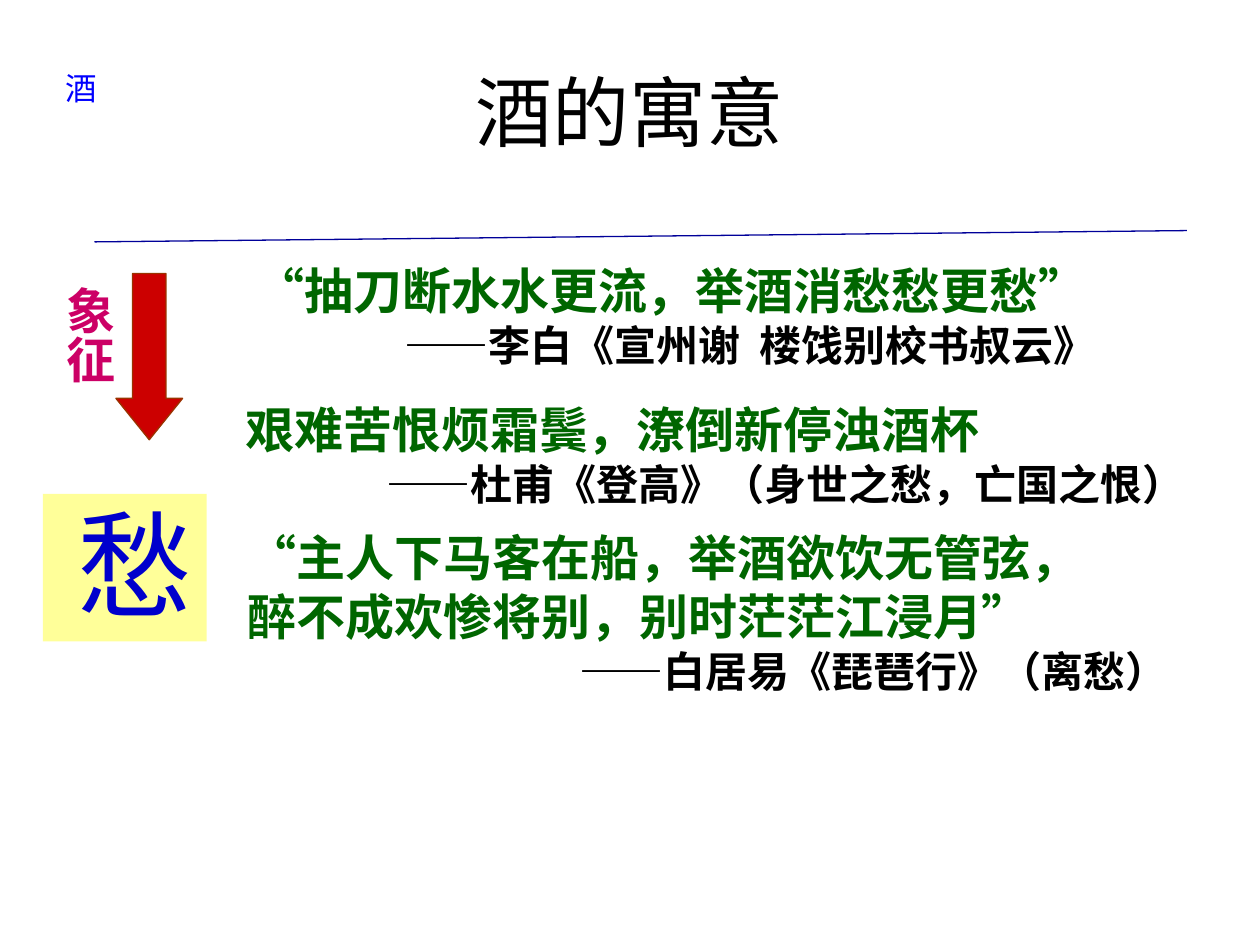
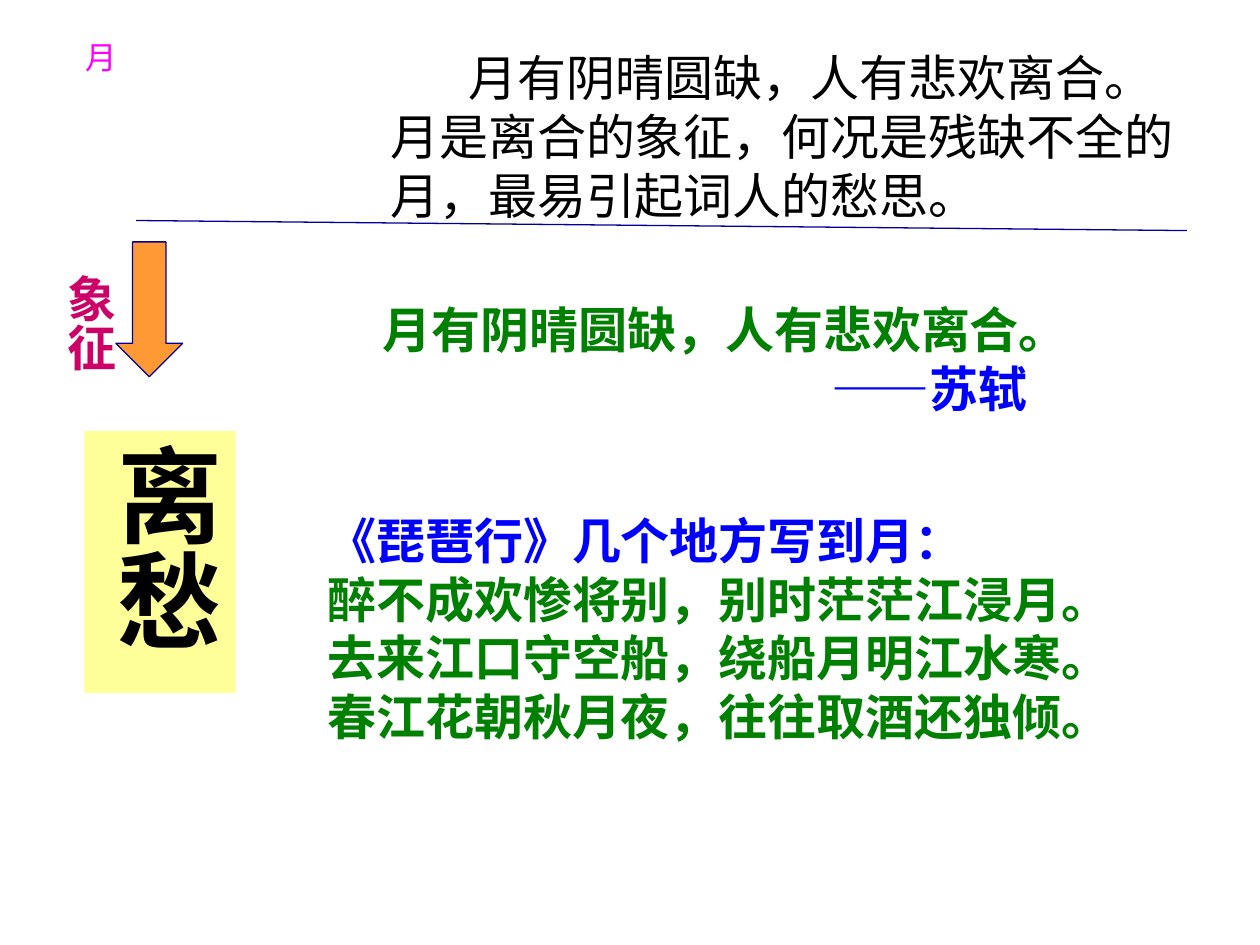
from lxml import etree
from pptx import Presentation
from pptx.dml.color import RGBColor
from pptx.enum.shapes import MSO_CONNECTOR as CONNECTOR, MSO_SHAPE as SHAPE
from pptx.enum.text import MSO_ANCHOR as ANCHOR, MSO_AUTO_SIZE as AUTO_SIZE, PP_ALIGN as ALIGN
from pptx.oxml.ns import qn
from pptx.util import Inches, Pt

SERIF, SANS, TITLE_FONT, CJK = "Times New Roman", "DejaVu Sans", "Montserrat", "Noto Sans CJK SC"
BLACK, NAVY, BLUE, PINK, PALE = "000000", "000099", "0000FF", "CC0066", "FFFF99"
DARK_GREEN, GREEN = "006600", "008000"

# Passages are (place, font, lines); a line is (text, size, colour, bold, left indent, first-line indent).
SLIDES = [
    dict(
        topic=("酒", (0.42, 0.5, 1.37, 1.46), BLUE, "CC99FF"),
        title="酒的寓意",
        rule=(0.75, 1.92, 9.42, 1.83),
        arrow=((0.92, 2.17, 0.53, 1.32), 0.62, "CC0000", "993300"),
        symbol_label=(0.33, 2.17, 0.66, 1.5),
        meaning=("愁", (0.34, 3.92, 1.3, 1.17), 66, "0000CC", False),
        passages=[
            ((1.93, 2.02, 8.07, 0.97), SERIF, [
                ("“抽刀断水水更流，举酒消愁愁更愁”", 28, DARK_GREEN, True, 0, 0),
                ("——李白《宣州谢  楼饯别校书叔云》", 24, BLACK, True, 1.18, 0)]),
            ((1.85, 3.12, 8.92, 0.97), SANS, [
                ("艰难苦恨烦霜鬓，潦倒新停浊酒杯", 28, DARK_GREEN, True, 0, 0),
                ("——杜甫《登高》（身世之愁，亡国之恨）", 24, BLACK, True, 1.12, 0)]),
            ((1.87, 4.14, 8.63, 1.84), SERIF, [
                ("“主人下马客在船，举酒欲饮无管弦，", 28, DARK_GREEN, True, 0, 0),
                ("醉不成欢惨将别，别时茫茫江浸月”", 28, DARK_GREEN, True, 0, 0),
                ("——白居易《琵琶行》（离愁）", 24, BLACK, True, 2.63, 0)]),
        ],
    ),
    dict(
        topic=("月", (0.58, 0.25, 1.33, 1.5), "FF00FF", BLACK),
        title=None,
        rule=(1.08, 1.75, 9.42, 1.83),
        arrow=((0.92, 1.92, 0.53, 1.07), 0.5, "FF9933", NAVY),
        symbol_label=(0.34, 2.08, 0.66, 1.17),
        meaning=("离愁", (0.67, 3.42, 1.2, 2.08), 60, BLACK, True),
        passages=[
            ((3, 0.33, 6.5, 1.5), SERIF, [
                ("月有阴晴圆缺，人有悲欢离合。月是离合的象征，何况是残缺不全的月，最易引起词人的愁思。",
                 28, BLACK, False, 0, 0.62)]),
            ((2.94, 2.33, 5.8, 1.5), SERIF, [
                ("月有阴晴圆缺，人有悲欢离合。", 28, GREEN, True, 0, 0),
                ("——苏轼", 28, BLUE, True, 3.56, 0)]),
            ((2.5, 4, 6.92, 2.68), SERIF, [
                ("《琵琶行》几个地方写到月：", 28, BLUE, True, 0, 0),
                ("醉不成欢惨将别，别时茫茫江浸月。", 28, GREEN, True, 0, 0),
                ("去来江口守空船，绕船月明江水寒。", 28, GREEN, True, 0, 0),
                ("春江花朝秋月夜，往往取酒还独倾。", 28, GREEN, True, 0, 0)]),
        ],
    ),
]


def rgb(value):
    return RGBColor.from_string(value)


def inches(values):
    return [Inches(value) for value in values]


def write(para, text, size, color, font=SANS, bold=False, align=None, left=0, first=0, outline=None):
    if align is not None:
        para.alignment = align
    if left or first:
        properties = para._p.get_or_add_pPr()
        properties.set("marL", str(Inches(left)))
        properties.set("indent", str(Inches(first)))
    span = para.add_run()
    span.text = text
    span.font.name, span.font.size, span.font.bold = font, Pt(size), bold
    span.font.color.rgb = rgb(color)
    run_properties = span._r.get_or_add_rPr()
    run_properties.set("lang", "zh-CN")
    run_properties.find(qn("a:latin")).addnext(etree.Element(qn("a:ea"), typeface=CJK))
    if outline:
        line = etree.Element(qn("a:ln"), w=str(Pt(0.75)))
        fill = etree.SubElement(line, qn("a:solidFill"))
        etree.SubElement(fill, qn("a:srgbClr"), val=outline)
        run_properties.insert(0, line)


def add_text_frame(page, place, wrap=True):
    frame = page.shapes.add_textbox(*inches(place)).text_frame
    frame.word_wrap = wrap
    return frame


def add_passage(page, place, font, lines):
    frame = add_text_frame(page, place)
    for number, (text, size, color, bold, left, first) in enumerate(lines):
        para = frame.add_paragraph() if number else frame.paragraphs[0]
        write(para, text, size, color, font=font, bold=bold, left=left, first=first)


def add_filled(page, kind, place, fill, line=None):
    shape = page.shapes.add_shape(kind, *inches(place))
    shape.shadow.inherit = False
    shape.fill.solid()
    shape.fill.fore_color.rgb = rgb(fill)
    if line:
        shape.line.color.rgb = rgb(line)
        shape.line.width = Pt(0.75)
    else:
        shape.line.fill.background()
    return shape


def write_vertical(frame, text, size, color, bold):
    frame.word_wrap = True
    frame.auto_size = AUTO_SIZE.SHAPE_TO_FIT_TEXT
    frame.vertical_anchor = ANCHOR.TOP
    frame.margin_left = frame.margin_right = Inches(0.05)
    frame.margin_top = frame.margin_bottom = Inches(0.1)
    frame._txBody.bodyPr.set("vert", "eaVert")
    write(frame.paragraphs[0], text, size, color, bold=bold, align=ALIGN.CENTER)


def add_rule(page, ends):
    rule = page.shapes.add_connector(CONNECTOR.STRAIGHT, *inches(ends))
    rule.line.color.rgb = rgb(NAVY)
    rule.line.width = Pt(0.75)
    etree.SubElement(rule._element.spPr, qn("a:effectLst"))


def build_slide(deck, content):
    page = deck.slides.add_slide(deck.slide_layouts[6])
    topic, place, color, outline = content["topic"]
    frame = add_text_frame(page, place, wrap=False)
    write(frame.paragraphs[0], topic, 18, color, font=CJK, outline=outline)

    for passage in content["passages"]:
        add_passage(page, *passage)

    place, head, fill, line = content["arrow"]
    arrow = add_filled(page, SHAPE.DOWN_ARROW, place, fill, line)
    arrow.adjustments[0], arrow.adjustments[1] = 0.5, head

    meaning, place, size, color, bold = content["meaning"]
    box = add_filled(page, SHAPE.RECTANGLE, place, PALE)
    write_vertical(box.text_frame, meaning, size, color, bold)
    write_vertical(add_text_frame(page, content["symbol_label"]), "象征", 28, PINK, True)
    add_rule(page, content["rule"])

    if content["title"]:
        frame = add_text_frame(page, (0.33, 0.25, 9.34, 1.25))
        frame.vertical_anchor = ANCHOR.MIDDLE
        write(frame.paragraphs[0], content["title"], 44, BLACK, font=TITLE_FONT, align=ALIGN.CENTER)


def main():
    deck = Presentation()
    deck.slide_width, deck.slide_height = Inches(10), Inches(7.5)
    for content in SLIDES:
        build_slide(deck, content)
    deck.save("out.pptx")


if __name__ == "__main__":
    main()
